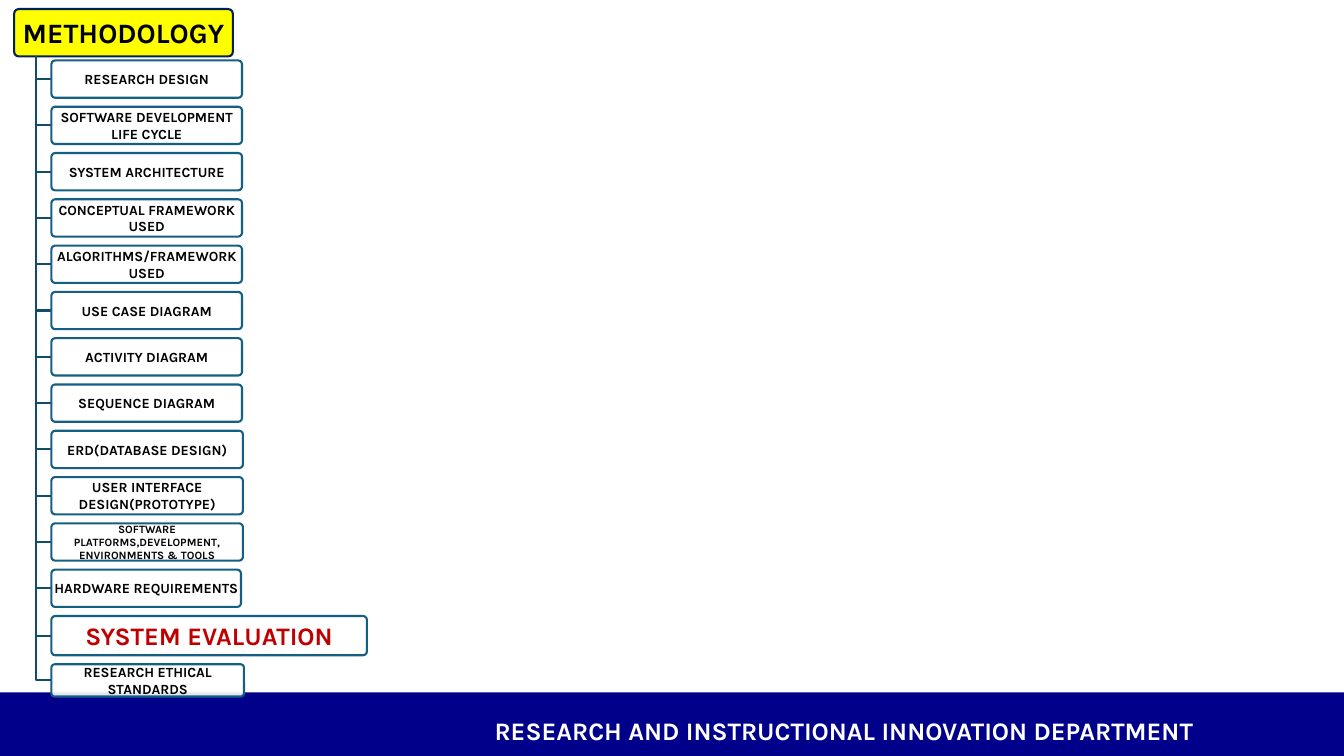
from pptx import Presentation
from pptx.dml.color import RGBColor as Rgb
from pptx.enum.shapes import MSO_SHAPE as Kind
from pptx.enum.text import MSO_ANCHOR as Anchor, PP_ALIGN as Align
from pptx.oxml.ns import qn
from pptx.util import Inches, Pt
from lxml import etree

HUE = {
    "band": "00008B", "head": "FFFF00", "navy": "002060",
    "trunk": "114D68", "edge": "156082", "white": "FFFFFF",
    "black": "000000", "red": "C00000",
}

STEPS = [
    ("RESEARCH DESIGN", 1.89),
    ("SOFTWARE DEVELOPMENT LIFE CYCLE", 1.89),
    ("SYSTEM ARCHITECTURE", 1.89),
    ("CONCEPTUAL FRAMEWORK USED", 1.89),
    ("ALGORITHMS/FRAMEWORK USED", 1.89),
    ("USE CASE DIAGRAM", 1.89),
    ("ACTIVITY DIAGRAM", 1.89),
    ("SEQUENCE DIAGRAM", 1.89),
    ("ERD(DATABASE DESIGN)", 1.9),
    ("USER INTERFACE DESIGN(PROTOTYPE)", 1.9),
    ("SOFTWARE PLATFORMS,DEVELOPMENT, ENVIRONMENTS & TOOLS", 1.9),
    ("HARDWARE REQUIREMENTS", 1.88),
    ("SYSTEM EVALUATION", 3.13),
    ("RESEARCH ETHICAL STANDARDS", 1.91),
]
HIGH = {12: 0.39, 13: 0.32}
SIZE = {10: 8, 12: 18}
TONE = {12: "red"}


def color(name):
    return Rgb.from_string(HUE[name])


def write(shape, text, size, tone, pad=0.01):
    frame = shape.text_frame
    frame.text = text
    frame.word_wrap = True
    frame.vertical_anchor = Anchor.MIDDLE
    frame.margin_left = frame.margin_right = Inches(pad)
    frame.margin_top = frame.margin_bottom = Inches(0.01)
    para = frame.paragraphs[0]
    para.alignment = Align.CENTER
    font = para.runs[0].font
    font.name, font.size, font.bold = "Karla", Pt(size), True
    font.color.rgb = color(tone)
    return para


def panel(slide, kind, box, fill, line=None):
    shape = slide.shapes.add_shape(kind, *map(Inches, box))
    shape.shadow.inherit = False
    shape.fill.solid()
    shape.fill.fore_color.rgb = color(fill)
    if line:
        shape.adjustments[0] = 0.1
        shape.line.color.rgb = color(line)
        shape.line.width = Pt(1.5)
    else:
        shape.line.fill.background()
    return shape


def fade(shape, share):
    tint = shape._element.spPr.find(qn("a:solidFill"))[0]
    etree.SubElement(tint, qn("a:alpha")).set("val", str(share * 1000))


def elbow(slide, x, y, right, low):
    path = slide.shapes.build_freeform(Inches(x), Inches(y))
    path.add_line_segments(
        [(Inches(x), Inches(low)), (Inches(right), Inches(low))], close=False)
    shape = path.convert_to_shape()
    shape.shadow.inherit = False
    shape.fill.background()
    shape.line.color.rgb = color("trunk")
    shape.line.width = Pt(1.5)


def footer(slide, x, y, w, h):
    panel(slide, Kind.RECTANGLE, (x, y, w, h), "band")
    area = (x + 4.16, y + 0.04, 8.42, 0.51)
    label = slide.shapes.add_textbox(*map(Inches, area))
    para = write(label, "RESEARCH AND INSTRUCTIONAL INNOVATION DEPARTMENT",
                 18, "white", 0.1)
    para.line_spacing = Pt(31.8)
    label.text_frame.margin_top = label.text_frame.margin_bottom = Inches(0.05)
    label.text_frame.vertical_anchor = Anchor.TOP


def header(slide, x, y, w, h):
    panel(slide, Kind.ROUNDED_RECTANGLE, (x, y, w, h), "head", "navy")
    title = slide.shapes.title
    title.left, title.top, title.width, title.height = map(Inches, (x, y, w, h))
    write(title, "METHODOLOGY", 20, "black", 0.04)
    slide.shapes._spTree.append(title._element)


def tree(slide, x, y, h, stem, root):
    highs = [HIGH.get(i, 0.37) for i in range(len(STEPS))]
    gap = (h - sum(highs)) / (len(STEPS) - 1)
    top = y
    for i, (text, wide) in enumerate(STEPS):
        elbow(slide, stem, root, x, top + highs[i] / 2)
        box = panel(slide, Kind.ROUNDED_RECTANGLE,
                    (x, top, wide, highs[i]), "white", "edge")
        fade(box, 90)
        write(box, text, SIZE.get(i, 10), TONE.get(i, "black"))
        top += highs[i] + gap


def main():
    deck = Presentation()
    deck.slide_width, deck.slide_height = Inches(13.33), Inches(7.5)
    slide = deck.slides.add_slide(deck.slide_layouts[5])
    footer(slide, 0, 6.87, 13.33, 0.63)
    header(slide, 0.14, 0.09, 2.17, 0.47)
    tree(slide, 0.51, 0.6, 6.31, 0.36, 0.56)
    deck.save("out.pptx")


if __name__ == "__main__":
    main()
